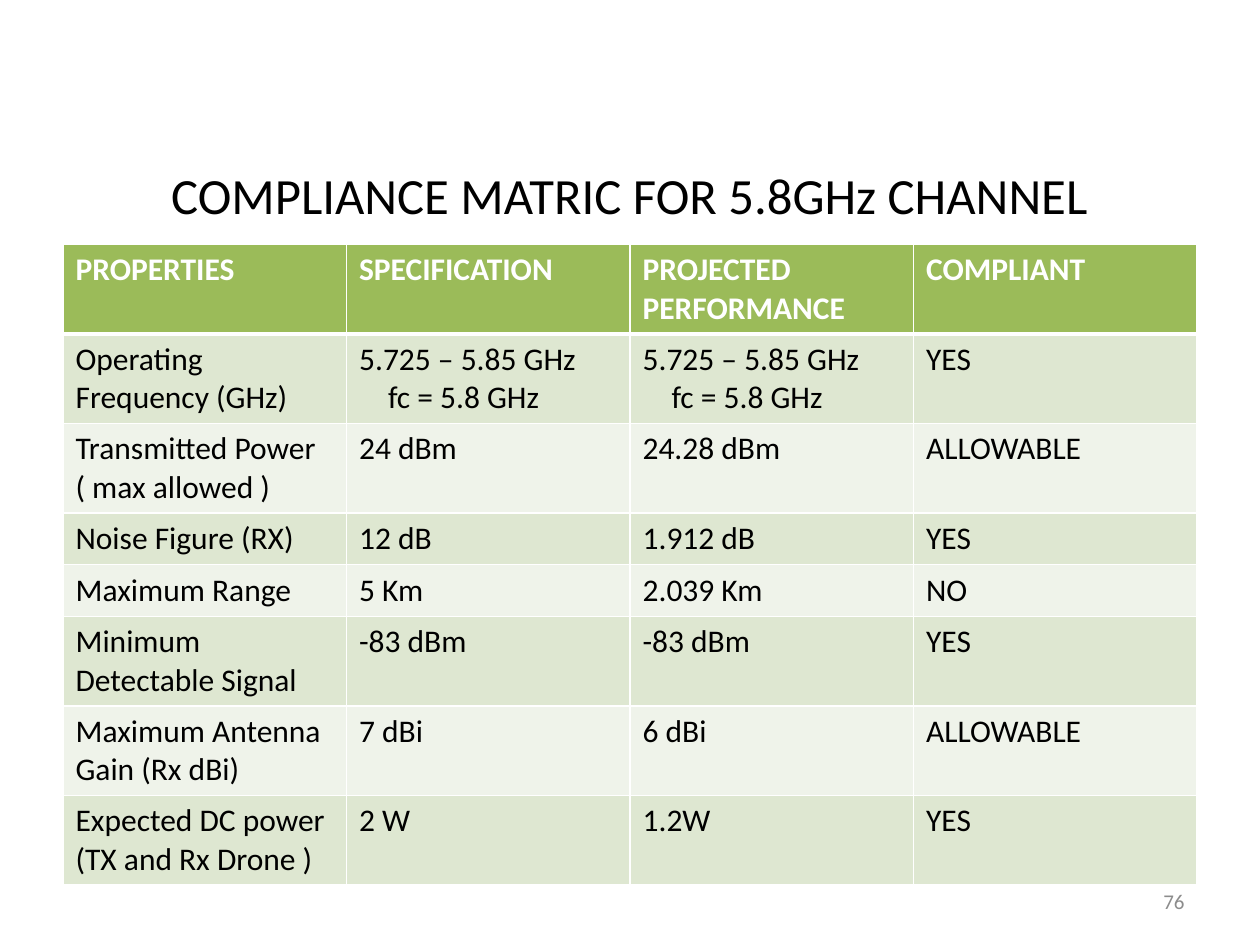
from lxml import etree
from pptx import Presentation
from pptx.dml.color import RGBColor
from pptx.enum.text import MSO_ANCHOR, PP_ALIGN
from pptx.oxml.ns import qn
from pptx.util import Inches, Pt

MIDDLE = MSO_ANCHOR.MIDDLE
LEFT, CENTER, RIGHT = PP_ALIGN.LEFT, PP_ALIGN.CENTER, PP_ALIGN.RIGHT
TITLE_ONLY = 5

COLORS = {
    "header": "9BBB59",
    "odd": "DEE7D1",
    "even": "EFF3EA",
    "white": "FFFFFF",
    "black": "000000",
    "gray": "8C8C8C",
}

TITLE_FORMAT = {"name": "Calibri", "size": Pt(29), "bold": False}
HEADER_FORMAT = {"name": "Calibri", "size": Pt(18), "bold": True}
BODY_FORMAT = {"name": "Calibri", "size": Pt(18), "bold": False}
NUMBER_FORMAT = {"name": "Calibri", "size": Pt(12), "bold": False}

FREQUENCY = "5.725 – 5.85 GHz\n\tfc = 5.8 GHz"
ROWS = [
    ("PROPERTIES", "SPECIFICATION", "PROJECTED PERFORMANCE", "COMPLIANT"),
    ("Operating Frequency (GHz)", FREQUENCY, FREQUENCY, "YES"),
    ("Transmitted Power\n( max allowed )", "24 dBm", "24.28 dBm", "ALLOWABLE"),
    ("Noise Figure (RX)", "12 dB", "1.912 dB", "YES"),
    ("Maximum Range", "5 Km", "2.039 Km", "NO"),
    ("Minimum Detectable Signal", "-83 dBm", "-83 dBm", "YES"),
    ("Maximum Antenna Gain (Rx dBi)", "7 dBi", "6 dBi", "ALLOWABLE"),
    ("Expected DC power (TX and Rx Drone )", "2 W", "1.2W", "YES"),
]


def write_text(text_frame, text, font_format, color, alignment=LEFT):
    for index, line in enumerate(text.split("\n")):
        paragraph = text_frame.paragraphs[0] if index == 0 else text_frame.add_paragraph()
        paragraph.alignment = alignment
        if line.startswith("\t"):
            paragraph._p.get_or_add_pPr().set("marL", str(Inches(0.23)))
        run = paragraph.add_run()
        run.text = line.strip()
        for attribute, value in font_format.items():
            setattr(run.font, attribute, value)
        run.font.color.rgb = RGBColor.from_string(COLORS[color])


def place(shape, left, top, width, height):
    shape.left, shape.top = Inches(left), Inches(top)
    shape.width, shape.height = Inches(width), Inches(height)


def add_title(slide, text):
    title = slide.shapes.title
    place(title, 0.5, 0.92, 9, 1.25)
    title.text_frame.vertical_anchor = MIDDLE
    write_text(title.text_frame, text, TITLE_FORMAT, "black", CENTER)


def set_borders(cell, widths):
    properties = cell._tc.get_or_add_tcPr()
    for side, width in widths.items():
        line = etree.SubElement(properties, qn(f"a:ln{side}"), w=str(Pt(width)))
        fill = etree.SubElement(line, qn("a:solidFill"))
        etree.SubElement(fill, qn("a:srgbClr"), val=COLORS["white"])


def format_cell(cell, text, row):
    is_header = row == 0
    set_borders(cell, {
        "L": 1,
        "R": 1,
        "T": 3 if row == 1 else 1,
        "B": 3 if is_header else 1,
    })
    background = "header" if is_header else ("even", "odd")[row % 2]
    cell.fill.solid()
    cell.fill.fore_color.rgb = RGBColor.from_string(COLORS[background])
    if is_header:
        write_text(cell.text_frame, text, HEADER_FORMAT, "white")
    else:
        write_text(cell.text_frame, text, BODY_FORMAT, "black")


def add_compliance_table(slide):
    row_height = 0.41
    table = slide.shapes.add_table(
        len(ROWS), len(ROWS[0]), Inches(0.5), Inches(1.94),
        Inches(9), Inches(row_height * len(ROWS)),
    ).table
    for row, values in enumerate(ROWS):
        table.rows[row].height = Inches(row_height)
        for column, text in enumerate(values):
            format_cell(table.cell(row, column), text, row)


def add_page_number(slide, number):
    box = slide.shapes.add_textbox(Inches(7.17), Inches(6.95), Inches(2.33), Inches(0.4))
    box.text_frame.word_wrap = True
    box.text_frame.vertical_anchor = MIDDLE
    write_text(box.text_frame, number, NUMBER_FORMAT, "gray", RIGHT)


def main():
    presentation = Presentation()
    presentation.slide_width = Inches(10)
    presentation.slide_height = Inches(7.5)
    slide = presentation.slides.add_slide(presentation.slide_layouts[TITLE_ONLY])
    add_title(slide, "COMPLIANCE MATRIC FOR 5.8GHz CHANNEL")
    add_compliance_table(slide)
    add_page_number(slide, "76")
    presentation.save("out.pptx")


if __name__ == "__main__":
    main()
